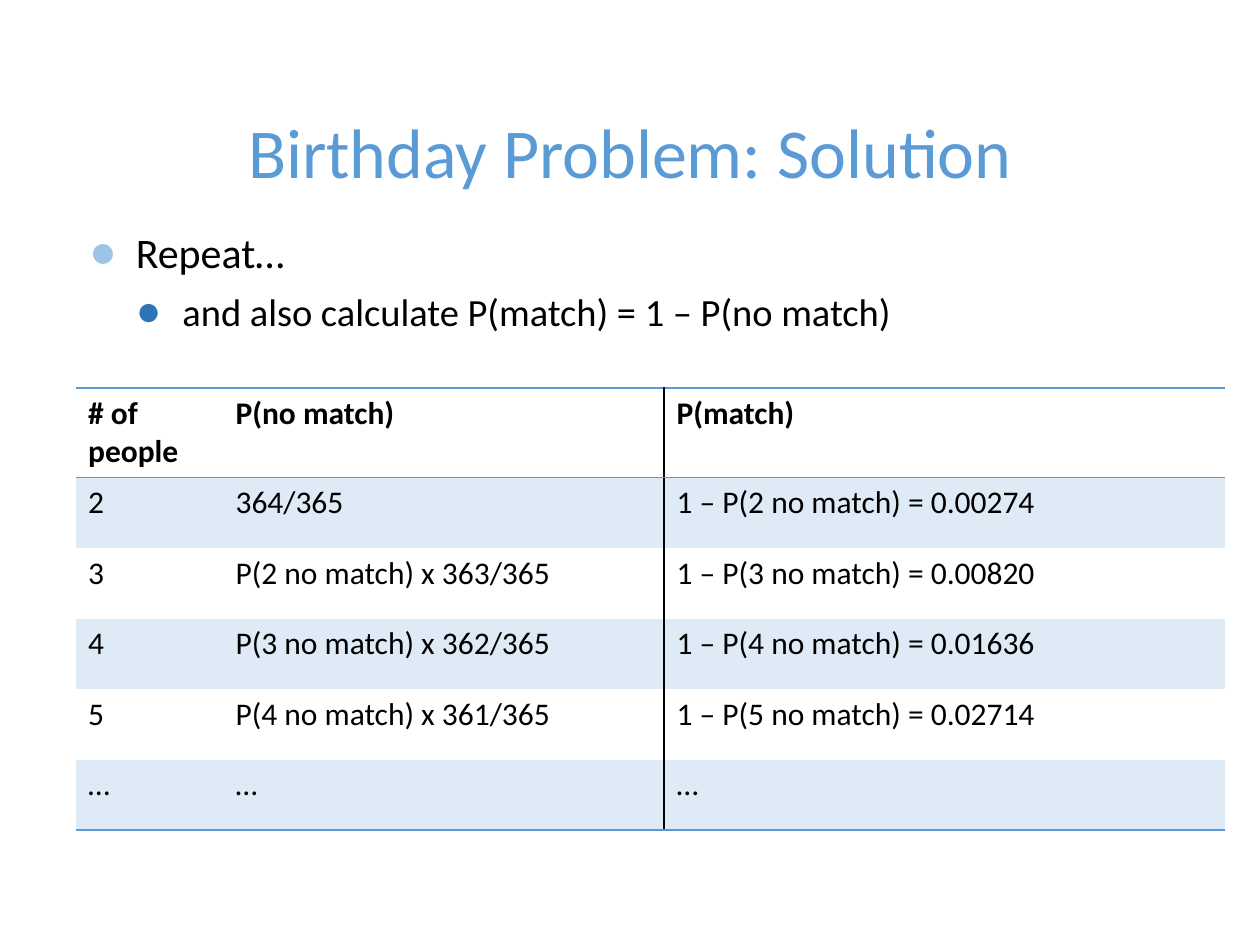
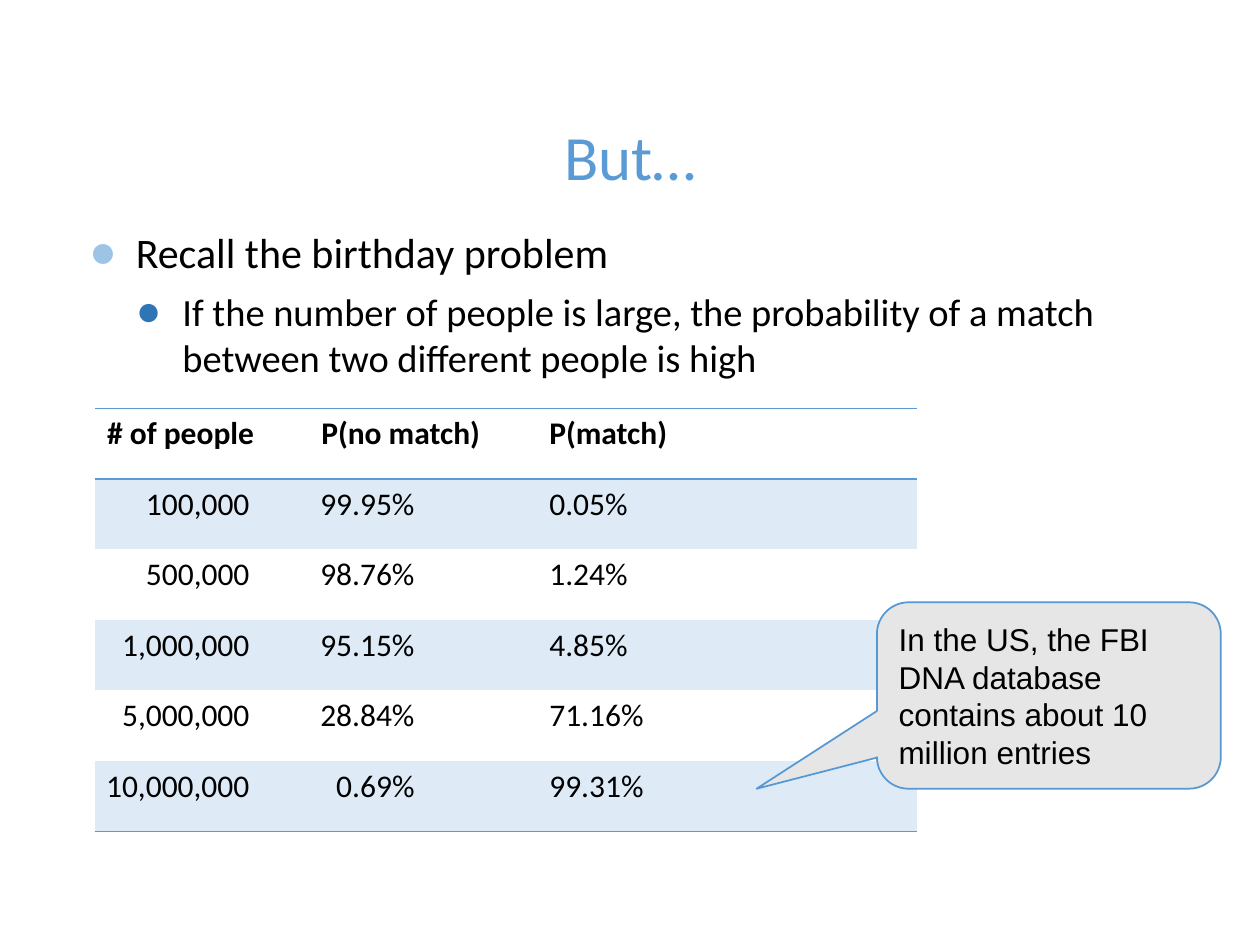
"""Build two slides on the birthday problem, each with bullets and a ruled table."""
from dataclasses import dataclass

from lxml import etree
from pptx import Presentation
from pptx.dml.color import RGBColor
from pptx.enum import shapes, text
from pptx.oxml import ns
from pptx.util import Inches, Pt


@dataclass(frozen=True)
class Theme:
    """Colours, fonts and type sizes in points."""
    accent: str = "5B9BD5"
    band: str = "DEEBF7"
    ink: str = "000000"
    callout_fill: str = "E7E6E6"
    callout_line: str = "5698D3"
    bullet_colours: tuple = ("9DC3E6", "2E75B6")
    font: str = "Calibri"
    callout_font: str = "Arial"
    bullet_sizes: tuple = (24, 22)
    cell_size: int = 18
    no_table_style: str = "{2D5ABB26-0587-4C30-8999-92F81FD0307C}"


THEME = Theme()
ROW_HEIGHT = 0.56
CELL_MARGIN = 0.1
TITLE_BOX = (0.6, 0.12, 8.8, 1.46)
BODY_BOX = (0.6, 1.75, 8.8, 4.75)
BULLET_INDENTS = (0.38, 0.75)
BULLET_HANG = 0.37

SLIDES = [
    {
        "title": "Birthday Problem: Solution",
        "title_size": 40,
        "bullets": ["Repeat…", "and also calculate P(match) = 1 – P(no match)"],
        "table": {
            "origin": (0.6, 3.08),
            "columns": (1.17, 3.5, 4.45),
            "header_height": 0.71,
            "number_margins": {},
            "divider": 2,
            "rows": [
                ("# of people", "P(no match)", "P(match)"),
                ("2", "364/365", "1 – P(2 no match) = 0.00274"),
                ("3", "P(2 no match) x 363/365", "1 – P(3 no match) = 0.00820"),
                ("4", "P(3 no match) x 362/365", "1 – P(4 no match) = 0.01636"),
                ("5", "P(4 no match) x 361/365", "1 – P(5 no match) = 0.02714"),
                ("…", "…", "…"),
            ],
        },
    },
    {
        "title": "But…",
        "title_size": 36,
        "bullets": [
            "Recall the birthday problem",
            "If the number of people is large, the probability of a match "
            "between two different people is high",
        ],
        "table": {
            "origin": (0.75, 3.24),
            "columns": (1.7, 1.81, 3.02),
            "header_height": ROW_HEIGHT,
            "number_margins": {0: 0.47, 1: 0.97},
            "divider": None,
            "rows": [
                ("# of people", "P(no match)", "P(match)"),
                ("100,000", "99.95%", "0.05%"),
                ("500,000", "98.76%", "1.24%"),
                ("1,000,000", "95.15%", "4.85%"),
                ("5,000,000", "28.84%", "71.16%"),
                ("10,000,000", "0.69%", "99.31%"),
            ],
        },
        "callout": {
            "box": (6.96, 4.78, 2.73, 1.48),
            "adjustments": (-0.85, 0.5, 0.17),
            "text": "In the US, the FBI DNA database contains about 10 million entries",
        },
    },
]


def inches(values):
    return [Inches(v) for v in values]


def rgb(colour):
    return RGBColor.from_string(colour)


def add_run(p, words, size, colour=THEME.ink, font=THEME.font, bold=False):
    r = p.add_run()
    r.text = words
    r.font.size = Pt(size)
    r.font.name = font
    r.font.bold = bold
    r.font.color.rgb = rgb(colour)


def add_title(slide, words, size):
    sp = slide.shapes.title
    sp.left, sp.top, sp.width, sp.height = inches(TITLE_BOX)
    tf = sp.text_frame
    tf.auto_size = text.MSO_AUTO_SIZE.NONE
    tf.vertical_anchor = text.MSO_ANCHOR.BOTTOM
    p = tf.paragraphs[0]
    p.alignment = text.PP_ALIGN.CENTER
    add_run(p, words, size, THEME.accent)


def set_bullet(p, level):
    pPr = p._p.get_or_add_pPr()
    pPr.set("marL", str(Inches(BULLET_INDENTS[level])))
    pPr.set("indent", str(-Inches(BULLET_HANG)))
    colour = etree.SubElement(pPr, ns.qn("a:buClr"))
    etree.SubElement(colour, ns.qn("a:srgbClr"), val=THEME.bullet_colours[level])
    etree.SubElement(pPr, ns.qn("a:buSzPct"), val="110000")
    etree.SubElement(pPr, ns.qn("a:buFont"), typeface="Arial")
    etree.SubElement(pPr, ns.qn("a:buChar"), char="●")


def add_bullets(slide, bullets):
    tf = slide.shapes.add_textbox(*inches(BODY_BOX)).text_frame
    tf.word_wrap = True
    for level, words in enumerate(bullets):
        p = tf.add_paragraph() if level else tf.paragraphs[0]
        set_bullet(p, level)
        p.level = level
        if level:
            p.space_before = Pt(6)
        add_run(p, words, THEME.bullet_sizes[level])


def set_borders(cell, borders):
    tcPr = cell._tc.get_or_add_tcPr()
    for side in "LRTB":
        if side in borders:
            ln = etree.SubElement(tcPr, ns.qn(f"a:ln{side}"), w=str(Pt(1)))
            fill = etree.SubElement(ln, ns.qn("a:solidFill"))
            etree.SubElement(fill, ns.qn("a:srgbClr"), val=borders[side])


def cell_borders(row, col, last_row, divider):
    borders = {}
    if row == 0:
        borders["T"] = THEME.accent
    if row in (0, last_row):
        borders["B"] = THEME.accent
    if divider is not None and col == divider:
        borders["L"] = THEME.ink
    if divider is not None and col == divider - 1:
        borders["R"] = THEME.ink
    return borders


def add_table(slide, data):
    rows, columns = data["rows"], data["columns"]
    heights = [data["header_height"]] + [ROW_HEIGHT] * (len(rows) - 1)
    frame = slide.shapes.add_table(
        len(rows), len(columns), *inches((*data["origin"], sum(columns), sum(heights))))
    table = frame.table
    table.horz_banding = False
    table._tbl.tblPr.find(ns.qn("a:tableStyleId")).text = THEME.no_table_style
    for column, width in zip(table.columns, columns):
        column.width = Inches(width)
    for i, (row, height) in enumerate(zip(rows, heights)):
        table.rows[i].height = Inches(height)
        for j, words in enumerate(row):
            cell = table.cell(i, j)
            set_borders(cell, cell_borders(i, j, len(rows) - 1, data["divider"]))
            if i % 2:
                cell.fill.solid()
                cell.fill.fore_color.rgb = rgb(THEME.band)
            else:
                cell.fill.background()
            p = cell.text_frame.paragraphs[0]
            cell.margin_left = cell.margin_right = Inches(CELL_MARGIN)
            if i and j in data["number_margins"]:
                p.alignment = text.PP_ALIGN.RIGHT
                cell.margin_left = 0
                cell.margin_right = Inches(data["number_margins"][j])
            add_run(p, words, THEME.cell_size, bold=i == 0)


def add_callout(slide, data):
    sp = slide.shapes.add_shape(
        shapes.MSO_SHAPE.ROUNDED_RECTANGULAR_CALLOUT, *inches(data["box"]))
    for i, value in enumerate(data["adjustments"]):
        sp.adjustments[i] = value
    sp.shadow.inherit = False
    sp.fill.solid()
    sp.fill.fore_color.rgb = rgb(THEME.callout_fill)
    sp.line.color.rgb = rgb(THEME.callout_line)
    sp.line.width = Pt(1)
    tf = sp.text_frame
    tf.word_wrap = True
    tf.vertical_anchor = text.MSO_ANCHOR.MIDDLE
    p = tf.paragraphs[0]
    p.alignment = text.PP_ALIGN.LEFT
    add_run(p, data["text"], THEME.cell_size, font=THEME.callout_font)


def main():
    prs = Presentation()
    prs.slide_width, prs.slide_height = Inches(10), Inches(7.5)
    for content in SLIDES:
        slide = prs.slides.add_slide(prs.slide_layouts.get_by_name("Title Only"))
        add_title(slide, content["title"], content["title_size"])
        add_bullets(slide, content["bullets"])
        add_table(slide, content["table"])
        if "callout" in content:
            add_callout(slide, content["callout"])
    prs.save("out.pptx")


if __name__ == "__main__":
    main()
